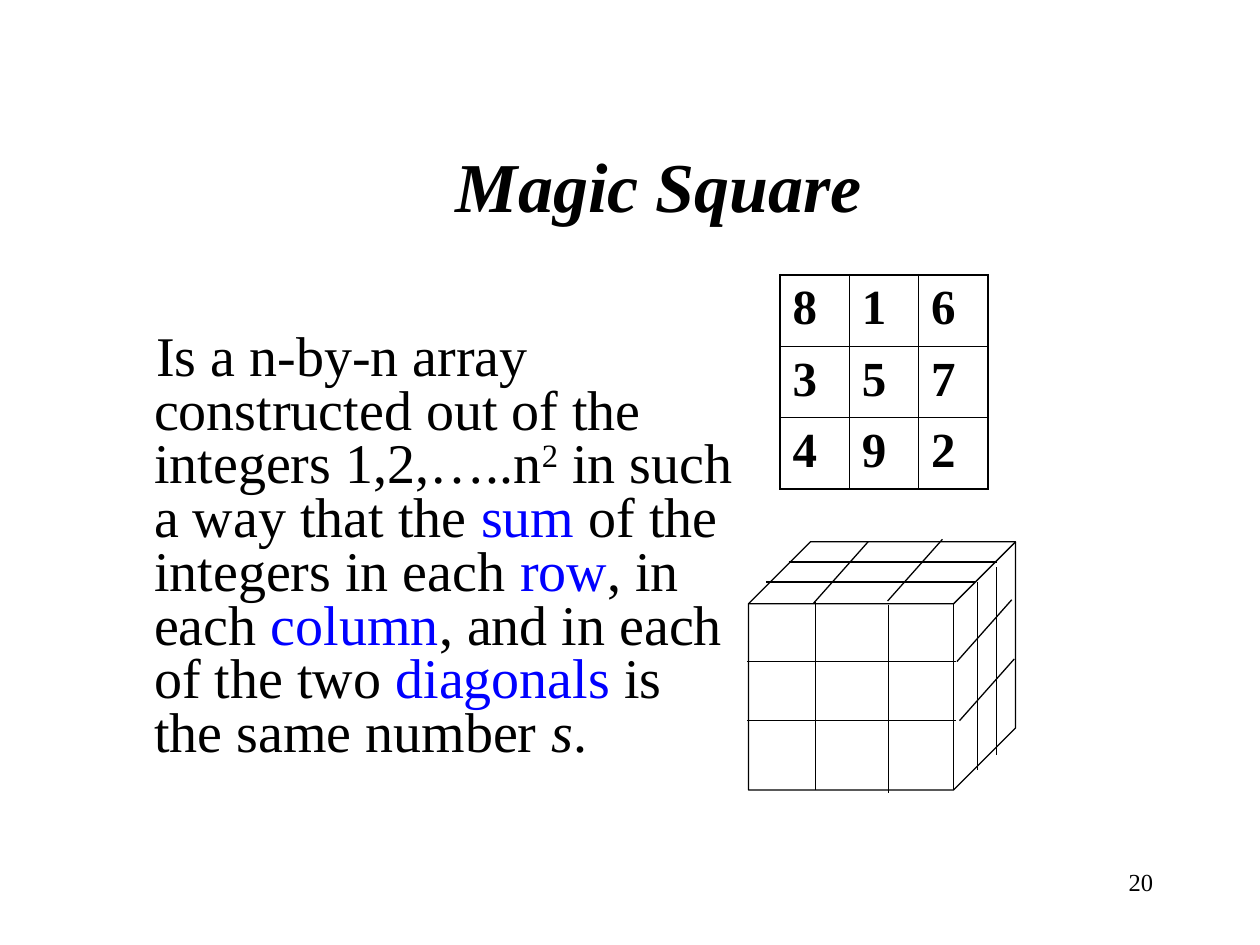
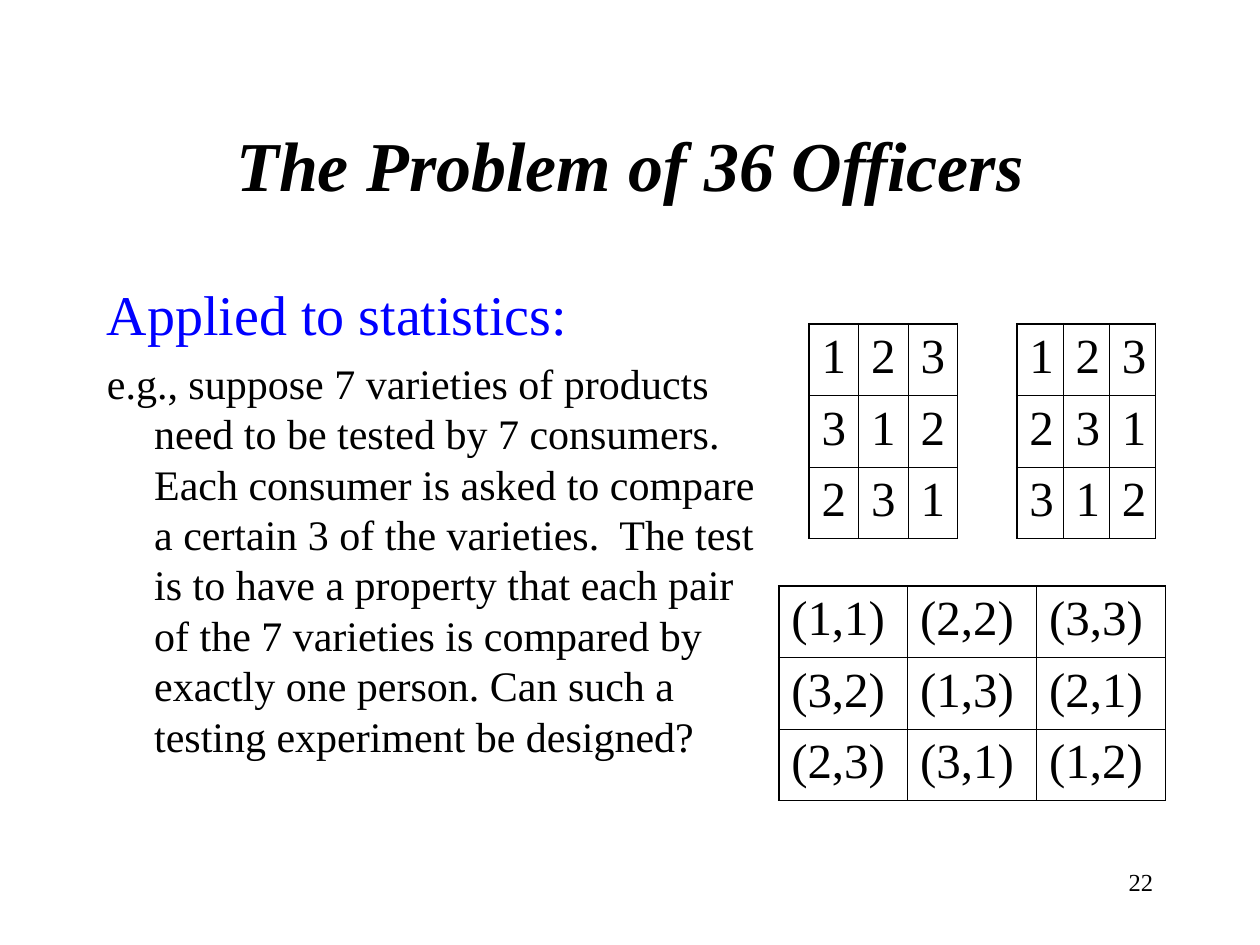
from lxml.etree import SubElement
from pptx import Presentation
from pptx.dml.color import RGBColor
from pptx.enum.shapes import MSO_CONNECTOR, MSO_SHAPE
from pptx.enum.text import MSO_ANCHOR, PP_ALIGN
from pptx.oxml.ns import qn
from pptx.util import Inches, Pt

BLACK = RGBColor(0x00, 0x00, 0x00)
BLUE = RGBColor(0x00, 0x00, 0xFF)
FONT = "Times New Roman"
COLUMNS, ROWS = 100, 75
UNIT = Inches(10) // COLUMNS
ROW_HEIGHT = 5.68
OUTER, INNER = Pt(1.08), Pt(0.45)
HANG = 3.75


def grid(*lengths):
    """Turn grid columns and rows into lengths."""
    return [round(n * UNIT) for n in lengths]


def style(r, size, color=BLACK, bold=False, italic=False):
    """Format one run."""
    r.font.name, r.font.size = FONT, Pt(size)
    r.font.color.rgb = color
    r.font.bold, r.font.italic = bold, italic


def add_slide(prs, title, left, top, number):
    """Add a slide with its title and page number."""
    s = prs.slides.add_slide(prs.slide_layouts[5])
    sp = s.shapes.title
    sp.left, sp.top, sp.width, sp.height = grid(left, top, 85, 12.5)
    tf = sp.text_frame
    tf.text, tf.vertical_anchor = title, MSO_ANCHOR.MIDDLE
    p = tf.paragraphs[0]
    p.alignment = PP_ALIGN.CENTER
    style(p.runs[0], 40, bold=True, italic=True)
    p = add_text(s, 71.7, 68.3, 20.8, 5).paragraphs[0]
    p.text, p.alignment = str(number), PP_ALIGN.RIGHT
    style(p.runs[0], 14)
    return s


def add_text(s, *box):
    """Add a wrapping text box and return its frame."""
    tf = s.shapes.add_textbox(*grid(*box)).text_frame
    tf.word_wrap = True
    return tf


def fill_paragraph(p, runs, size, leading, before=0, first=-HANG):
    """Write (text, color) runs into a paragraph with an indent."""
    p.line_spacing, p.space_before = Pt(leading), Pt(before)
    pPr = p._p.get_or_add_pPr()
    margin, indent = grid(HANG, first)
    pPr.set("marL", str(margin))
    pPr.set("indent", str(indent))
    for text, color in runs:
        r = p.add_run()
        r.text = text
        style(r, size, color)


def set_borders(cell, row, col, last):
    """Rule a cell, with heavier lines at the table's edge."""
    tcPr = cell._tc.get_or_add_tcPr()
    edges = {"a:lnL": col == 0, "a:lnR": col == last,
             "a:lnT": row == 0, "a:lnB": row == last}
    for tag, outer in edges.items():
        ln = SubElement(tcPr, qn(tag), w=str(OUTER if outer else INNER))
        fill = SubElement(ln, qn("a:solidFill"))
        SubElement(fill, qn("a:srgbClr"), val=str(BLACK))


def add_square(s, left, top, width, values, bold=False):
    """Add a square table of numbers."""
    n = len(values)
    frame = s.shapes.add_table(n, n, *grid(left, top, width, n * ROW_HEIGHT))
    table = frame.table
    table.first_row = table.horz_banding = False
    for i, row in enumerate(values):
        for j, value in enumerate(row):
            cell = table.cell(i, j)
            cell.text = value
            style(cell.text_frame.paragraphs[0].runs[0], 28, bold=bold)
            set_borders(cell, i, j, n - 1)
            cell.fill.background()


def add_lines(group, starts, dx, dy):
    """Add parallel lines of equal length."""
    for x, y in starts:
        line = group.shapes.add_connector(
            MSO_CONNECTOR.STRAIGHT, *grid(x, y, x + dx, y + dy))
        line.line.color.rgb, line.line.width = BLACK, Pt(0.75)
        SubElement(line._element.spPr, qn("a:effectLst"))


def add_cube(s):
    """Add the cube divided into three by three faces."""
    group = s.shapes.add_group_shape()
    sp = group.shapes.add_shape(MSO_SHAPE.CUBE, *grid(59.4, 43, 21.2, 19.7))
    sp.adjustments[0] = 0.25
    sp.shadow.inherit = False
    sp.fill.background()
    sp.line.color.rgb, sp.line.width = BLACK, Pt(0.75)
    across = [(62.6, 44.6), (60.8, 46.2), (59.3, 52.5), (59.3, 57.2)]
    down = [(64.7, 47.8), (70.5, 48), (79.1, 45), (77.6, 46.2)]
    slanted = [(68.9, 43), (74.8, 42.8), (80.3, 47.6), (80.5, 52.3)]
    add_lines(group, across, 16.55, 0)
    add_lines(group, down, 0, 14.9)
    add_lines(group, slanted, -4.35, 4.9)


def add_magic_square(prs):
    """Build the magic square slide."""
    s = add_slide(prs, "Magic Square", 9.8, 8.4, 20)
    p = add_text(s, 7.5, 26, 51.9, 40.7).paragraphs[0]
    fill_paragraph(p, [
        ("Is a n-by-n array constructed out of the integers 1,2,…..n", BLACK),
        ("2", BLACK), (" in such a way that the ", BLACK), ("sum", BLUE),
        (" of the integers in each ", BLACK), ("row", BLUE),
        (", in each ", BLACK), ("column", BLUE),
        (", and in each of the two ", BLACK), ("diagonals", BLUE),
        (" is the same number ", BLACK), ("s", BLACK), (".", BLACK),
    ], 32, 30.72, first=0.15)
    p.runs[1].font._element.set("baseline", "30000")
    p.runs[-2].font.italic = True
    add_square(s, 61.9, 21.8, 16.5, ["816", "357", "492"], bold=True)
    add_cube(s)


def add_officers(prs):
    """Build the 36 officers slide."""
    s = add_slide(prs, "The Problem of 36 Officers", 7.5, 6.7, 22)
    tf = add_text(s, 7.5, 21.7, 55.1, 45)
    fill_paragraph(tf.paragraphs[0], [("Applied to statistics:", BLUE)], 32, 38.4)
    fill_paragraph(tf.add_paragraph(), [(
        "e.g., suppose 7 varieties of products need to be tested by "
        "7 consumers. Each consumer is asked to compare a certain 3 of the "
        "varieties.  The test is to have a property that each pair of the "
        "7 varieties is compared by exactly one person. Can such a testing "
        "experiment be designed?", BLACK)], 24, 28.8, before=6)
    first, second = ["123", "312", "231"], ["123", "231", "312"]
    pairs = [[f"({a},{b})" for a, b in zip(*rows)] for rows in zip(first, second)]
    add_square(s, 64.2, 25.7, 11.8, first)
    add_square(s, 80.7, 25.7, 11, second)
    add_square(s, 61.8, 46.5, 30.7, pairs)


def main():
    """Build and save the presentation."""
    prs = Presentation()
    prs.slide_width, prs.slide_height = grid(COLUMNS, ROWS)
    add_magic_square(prs)
    add_officers(prs)
    prs.save("out.pptx")


if __name__ == "__main__":
    main()
